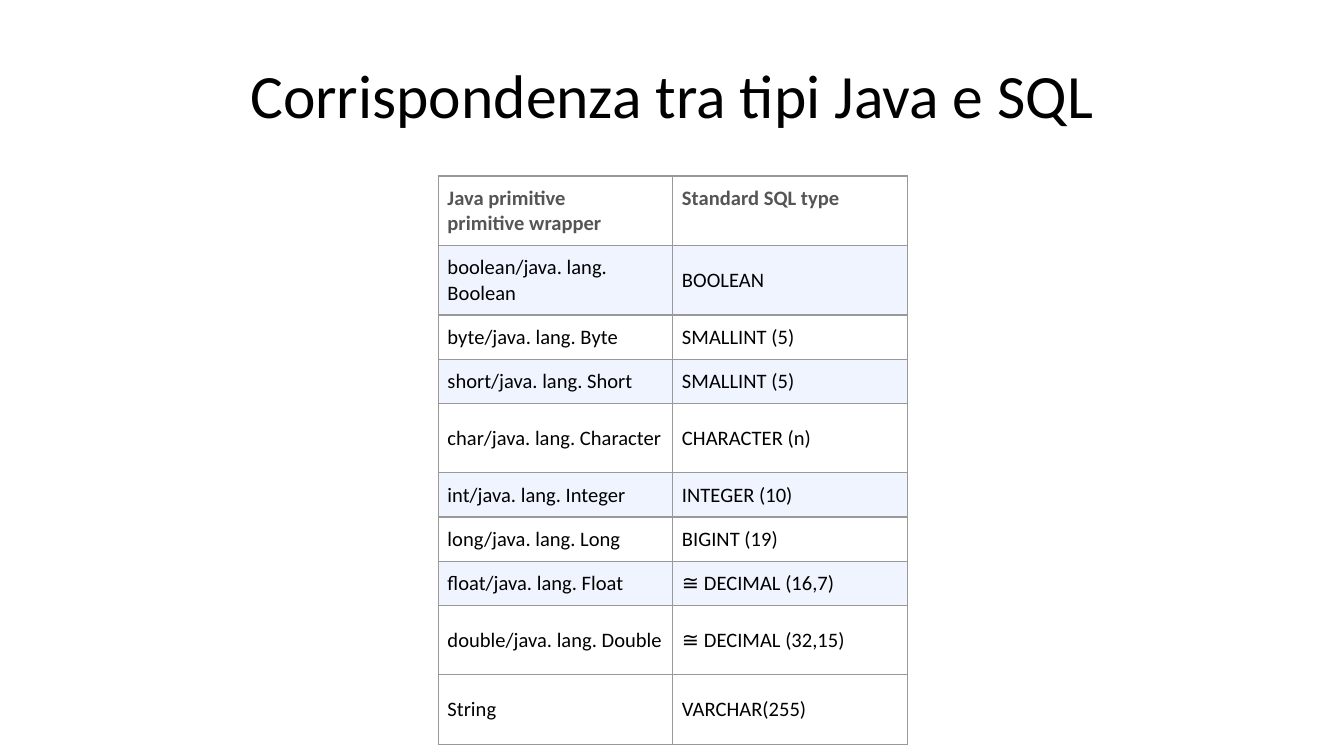
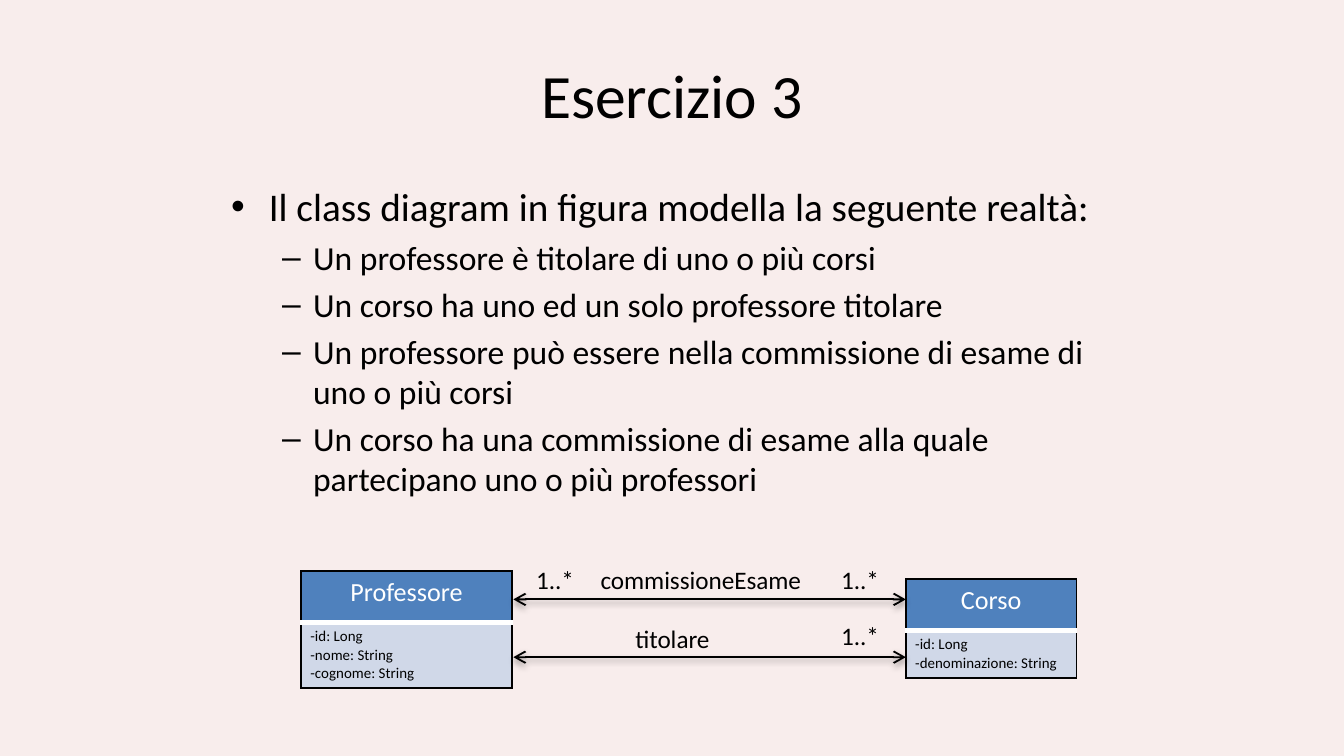
from dataclasses import dataclass

from lxml.etree import SubElement
from pptx import Presentation
from pptx.dml.color import RGBColor
from pptx.enum.shapes import MSO_CONNECTOR
from pptx.enum.text import MSO_ANCHOR, MSO_AUTO_SIZE, PP_ALIGN
from pptx.oxml.ns import qn
from pptx.util import Inches, Pt


@dataclass(frozen=True)
class Theme:
    font: str = "Calibri"
    black: str = "000000"
    white: str = "FFFFFF"
    rose: str = "F2DCDB"
    grey: str = "555555"
    rule: str = "999999"
    band: str = "EFF4FF"
    blue: str = "4F81BD"
    pale: str = "D0D8E8"
    title: float = 33
    lead: float = 21
    item: float = 18
    name: float = 14
    label: float = 13.5
    cell: float = 11
    field: float = 8


THEME = Theme()

TALL, SHORT = 0.52, 0.33
TYPES = [
    ("Java primitive\vprimitive wrapper", "Standard SQL type", TALL),
    ("boolean/java. lang. Boolean", "BOOLEAN", TALL),
    ("byte/java. lang. Byte", "SMALLINT (5)", SHORT),
    ("short/java. lang. Short", "SMALLINT (5)", SHORT),
    ("char/java. lang. Character", "CHARACTER (n)", TALL),
    ("int/java. lang. Integer", "INTEGER (10)", SHORT),
    ("long/java. lang. Long", "BIGINT (19)", SHORT),
    ("float/java. lang. Float", "≅ DECIMAL (16,7)", SHORT),
    ("double/java. lang. Double", "≅ DECIMAL (32,15)", TALL),
    ("String", "VARCHAR(255)", TALL),
]
BANDS = (1, 3, 5, 7)

LEAD = "Il class diagram in figura modella la seguente realtà:"
FACTS = [
    "Un professore è titolare di uno o più corsi",
    "Un corso ha uno ed un solo professore titolare",
    "Un professore può essere nella commissione di esame di uno o più corsi",
    "Un corso ha una commissione di esame alla quale partecipano uno o più professori",
]


def rgb(code):
    return RGBColor.from_string(code)


def style(frame, size, color=THEME.black, bold=False, align=None):
    for para in frame.paragraphs:
        para.alignment = align
        for run in para.runs:
            run.font.name = THEME.font
            run.font.size = Pt(size)
            run.font.bold = bold
            run.font.color.rgb = rgb(color)


def place(shape, left, top, width, height):
    shape.left, shape.top = Inches(left), Inches(top)
    shape.width, shape.height = Inches(width), Inches(height)


def paint_back(slide, color, alpha):
    fill = slide.background.fill
    fill.solid()
    fill.fore_color.rgb = rgb(color)
    if alpha < 100:
        tint = next(slide.background._cSld.iter(qn("a:srgbClr")))
        SubElement(tint, qn("a:alpha"), val=str(alpha * 1000))


def add_slide(deck, layout, title, back, alpha=100):
    slide = deck.slides.add_slide(deck.slide_layouts[layout])
    paint_back(slide, back, alpha)
    head = slide.shapes.title
    place(head, 0.5, 0.23, 9, 0.94)
    frame = head.text_frame
    frame.text = title
    frame.auto_size = MSO_AUTO_SIZE.NONE
    frame.vertical_anchor = MSO_ANCHOR.MIDDLE
    style(frame, THEME.title, align=PP_ALIGN.CENTER)
    return slide


def set_point(para, mark, left, hang):
    props = para._p.get_or_add_pPr()
    props.set("marL", str(Inches(left)))
    props.set("indent", str(-Inches(hang)))
    SubElement(props, qn("a:buFont"), typeface="Arial")
    SubElement(props, qn("a:buChar"), char=mark)


def fill_body(body, lead, facts):
    place(body, 1.62, 1.31, 6.75, 2.57)
    frame = body.text_frame
    frame.text = "\n".join([lead, *facts])
    frame.auto_size = MSO_AUTO_SIZE.NONE
    style(frame, THEME.item)
    first, *rest = frame.paragraphs
    set_point(first, "•", 0.28, 0.28)
    first.space_before = Pt(0)
    first.runs[0].font.size = Pt(THEME.lead)
    for para in rest:
        para.level = 1
        set_point(para, "–", 0.61, 0.23)
        para.space_before = Pt(THEME.item * 0.2)


def add_grid(slide, left, top, widths, heights):
    frame = slide.shapes.add_table(
        len(heights), len(widths), Inches(left), Inches(top),
        Inches(sum(widths)), Inches(sum(heights)))
    table = frame.table
    table.first_row = table.horz_banding = False
    for col, width in zip(table.columns, widths):
        col.width = Inches(width)
    for row, height in zip(table.rows, heights):
        row.height = Inches(height)
    return table


def fill_cell(cell, text, edges, fill, pad):
    cell.text_frame.text = text
    cell.margin_left = cell.margin_right = Inches(0.07)
    cell.margin_top = cell.margin_bottom = Inches(pad)
    props = cell._tc.get_or_add_tcPr()
    for side, (color, width) in zip("LRTB", edges):
        line = SubElement(props, qn(f"a:ln{side}"), w=str(Pt(width)))
        paint = SubElement(line, qn("a:solidFill"))
        SubElement(paint, qn("a:srgbClr"), val=color)
    if fill:
        cell.fill.solid()
        cell.fill.fore_color.rgb = rgb(fill)
    else:
        cell.fill.background()


def add_types(slide):
    scale = 4.23 / sum(row[2] for row in TYPES)
    table = add_grid(slide, 3.26, 1.31, [3.49 / 2] * 2,
                     [row[2] * scale for row in TYPES])
    edges = [(THEME.rule, 0.75)] * 4
    for r, row in enumerate(TYPES):
        for c, text in enumerate(row[:2]):
            cell = table.cell(r, c)
            fill_cell(cell, text, edges, THEME.band if r in BANDS else None, 0.07)
            if r:
                cell.vertical_anchor = MSO_ANCHOR.MIDDLE
            style(cell.text_frame, THEME.cell,
                  THEME.black if r else THEME.grey, bold=r == 0)


def add_class(slide, name, fields, left, top, width, height):
    table = add_grid(slide, left, top, [width], [0.38, height])
    head, body = table.cell(0, 0), table.cell(1, 0)
    edge = (THEME.black, 1)
    fill_cell(head, name, [edge] * 3 + [(THEME.white, 3)], THEME.blue, 0.04)
    style(head.text_frame, THEME.name, THEME.white, align=PP_ALIGN.CENTER)
    fill_cell(body, "\n".join(fields), [edge, edge, (THEME.white, 1), edge],
              THEME.pale, 0.04)
    style(body.text_frame, THEME.field)


def add_link(slide, left, right, y):
    link = slide.shapes.add_connector(
        MSO_CONNECTOR.STRAIGHT, Inches(left), Inches(y), Inches(right), Inches(y))
    link.line.color.rgb = rgb(THEME.black)
    link.line.width = Pt(1)
    props = link._element.spPr
    line = props.find(qn("a:ln"))
    for end in ("head", "tail"):
        SubElement(line, qn(f"a:{end}End"), type="arrow")
    effect = SubElement(props, qn("a:effectLst"))
    shade = SubElement(effect, qn("a:outerShdw"), blurRad=str(Pt(3.1)),
                       dist=str(Pt(1.6)), dir="5400000", rotWithShape="0")
    tint = SubElement(shade, qn("a:srgbClr"), val=THEME.black)
    SubElement(tint, qn("a:alpha"), val="38000")


def add_label(slide, text, left, top, width):
    box = slide.shapes.add_textbox(
        Inches(left), Inches(top), Inches(width), Inches(0.33))
    frame = box.text_frame
    frame.text = text
    frame.word_wrap = False
    frame.auto_size = MSO_AUTO_SIZE.SHAPE_TO_FIT_TEXT
    style(frame, THEME.label)


def main():
    deck = Presentation()
    deck.slide_width = Inches(10)
    deck.slide_height = deck.slide_width * 9 // 16

    slide = add_slide(deck, 5, "Corrispondenza tra tipi Java e SQL", THEME.white)
    add_types(slide)

    slide = add_slide(deck, 1, "Esercizio 3", THEME.rose, 50)
    fill_body(slide.placeholders[1], LEAD, FACTS)
    add_class(slide, "Professore", ["-id: Long", "-nome: String", "-cognome: String"],
              2.24, 4.25, 1.57, 0.47)
    add_class(slide, "Corso", ["-id: Long", "-denominazione: String"],
              6.74, 4.31, 1.27, 0.34)
    for y in (4.46, 4.89):
        add_link(slide, 3.82, 6.74, y)
    for text, left, top, width in [
        ("1..*", 6.16, 4.15, 0.49),
        ("1..*", 3.89, 4.15, 0.49),
        ("titolare", 4.63, 4.59, 0.76),
        ("commissioneEsame", 4.37, 4.15, 1.72),
        ("1..*", 6.16, 4.57, 0.49),
    ]:
        add_label(slide, text, left, top, width)

    deck.save("out.pptx")


if __name__ == "__main__":
    main()
